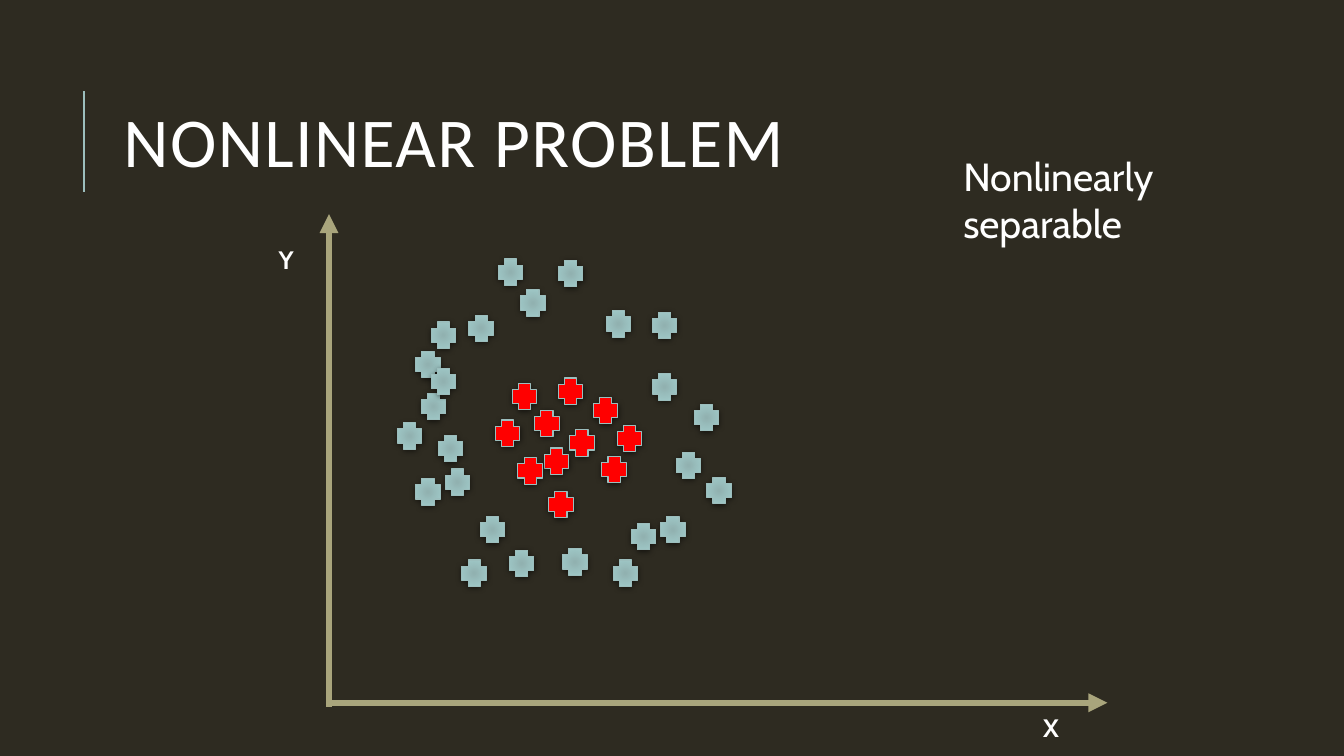
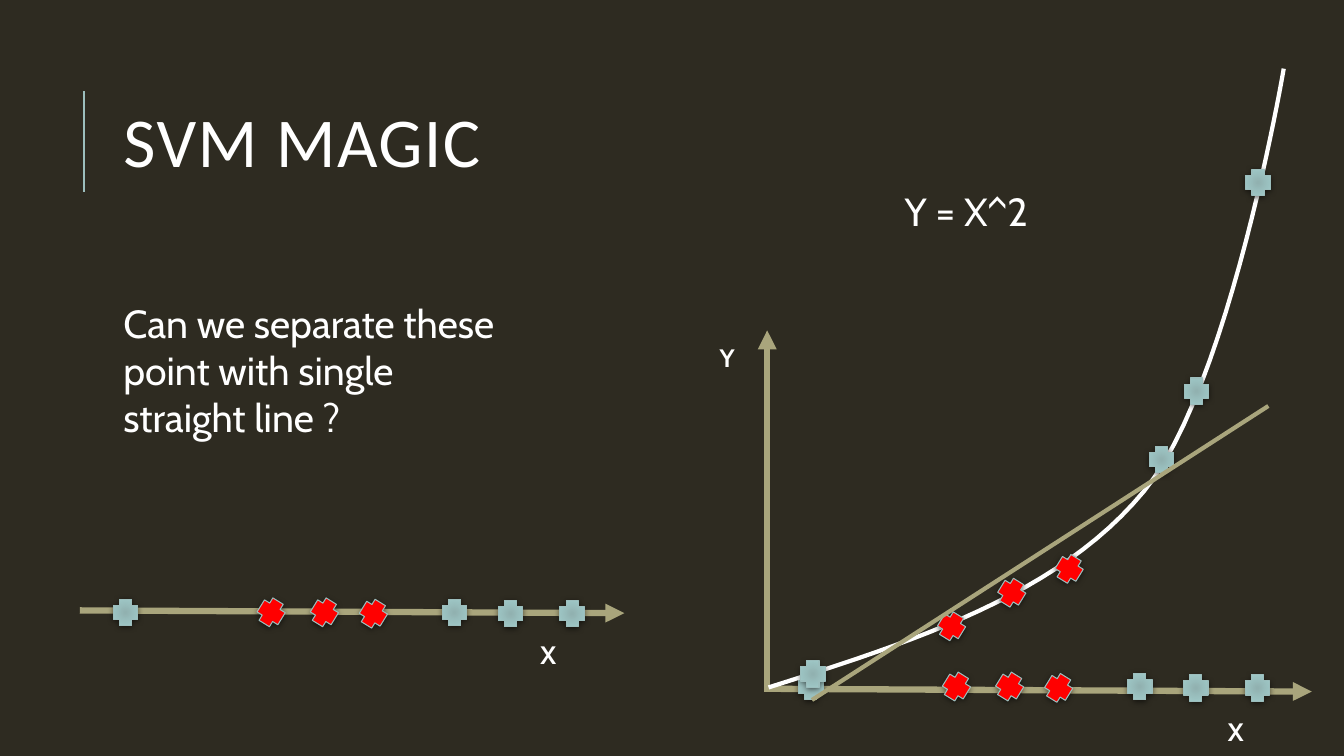
from pptx import Presentation
from pptx.dml.color import RGBColor
from pptx.enum.shapes import MSO_CONNECTOR, MSO_SHAPE
from pptx.enum.text import MSO_ANCHOR, MSO_AUTO_SIZE
from pptx.oxml import parse_xml
from pptx.oxml.ns import nsdecls, qn
from pptx.util import Pt

# Theme
DARK = RGBColor(0x2E, 0x2B, 0x21)
WHITE = RGBColor(0xFF, 0xFF, 0xFF)
TEAL = RGBColor(0x9C, 0xBE, 0xBD)
SAND = RGBColor(0xA9, 0xA5, 0x7C)
RED = RGBColor(0xFF, 0x00, 0x00)
GLOW_IN = RGBColor(0x91, 0xB1, 0xB0)
GLOW_OUT = RGBColor(0xA2, 0xCD, 0xCC)
HEAD_FONT, BODY_FONT = "Calibri", "Cabin"

MARK_W, MARK_H = 17.4, 18.8
TILT = 31.7

TITLE_STYLE = f"""<a:lvl1pPr {nsdecls('a')} algn="l">
  <a:lnSpc><a:spcPct val="80000"/></a:lnSpc>
  <a:defRPr sz="5000" spc="100">
    <a:solidFill><a:srgbClr val="{WHITE}"/></a:solidFill>
    <a:latin typeface="{HEAD_FONT}"/>
  </a:defRPr>
</a:lvl1pPr>"""
GLOW = f"""<a:gradFill {nsdecls('a')} rotWithShape="1">
  <a:gsLst>
    <a:gs pos="0"><a:srgbClr val="{GLOW_IN}"/></a:gs>
    <a:gs pos="100000"><a:srgbClr val="{GLOW_OUT}"/></a:gs>
  </a:gsLst>
  <a:path path="circle">
    <a:fillToRect l="100000" t="100000" r="100000" b="100000"/>
  </a:path>
</a:gradFill>"""
SHADOW = f"""<a:outerShdw {nsdecls('a')} blurRad="{Pt(4)}" dist="{Pt(1)}"
  dir="5400000" rotWithShape="0">
  <a:srgbClr val="000000"><a:alpha val="50000"/></a:srgbClr>
</a:outerShdw>"""
ARROW = f'<a:tailEnd {nsdecls("a")} type="triangle"/>'

# Slide 1: marker corners, outer ring and inner cluster
RING = [
    (297, 251), (301, 281), (318, 335), (313, 311), (297, 342),
    (343, 369), (364, 393), (472, 369), (330, 400), (402, 392),
    (438, 400), (308, 230), (335, 225), (356, 185), (372, 207),
    (399, 186), (433, 222), (466, 267), (483, 323), (496, 289),
    (451, 374), (505, 341), (284, 302), (308, 263), (466, 223),
]
CORE = [
    (366, 274), (399, 270), (424, 284), (389, 320), (370, 327), (382, 293),
    (407, 307), (441, 304), (354, 300), (430, 326), (392, 351),
]

# Slide 2: markers on the number line and on the parabola
ROW_RED = [(185, 428), (223, 428), (258, 429)]
ROW_TEAL = [(81, 428), (316, 428), (356, 429), (400, 429)]
ROW_SHIFT = (489.5, 53)
CURVE_RED = [(671, 438), (714, 414), (755, 397)]
CURVE_TEAL = [(846, 270), (821, 319), (572, 472), (890, 121)]
CURVE = [
    [(549, 491), (653, 458), (756, 425), (817, 351)],
    [(817, 351), (878, 278), (917, 49), (917, 49)],
]


def add_line(slide, start, end, color=SAND, width=4.5, arrow=False):
    line = slide.shapes.add_connector(
        MSO_CONNECTOR.STRAIGHT, *map(Pt, start + end))
    line.line.color.rgb = color
    line.line.width = Pt(width)
    props = line.element.spPr
    if arrow:
        props.find(qn("a:ln")).append(parse_xml(ARROW))
    props.append(parse_xml(f"<a:effectLst {nsdecls('a')}/>"))
    return line


def add_axis(slide, start, end):
    add_line(slide, start, end, arrow=True)


def add_text(slide, text, box, size=28, bold=False):
    frame = slide.shapes.add_textbox(*map(Pt, box)).text_frame
    frame.word_wrap = True
    frame.auto_size = MSO_AUTO_SIZE.SHAPE_TO_FIT_TEXT
    para = frame.paragraphs[0]
    para.text = text
    font = para.font
    font.name, font.size, font.bold = BODY_FONT, Pt(size), bold
    font.color.rgb = WHITE


def add_label(slide, text, left, top):
    add_text(slide, text, (left, top, 55, 29), size=18, bold=True)


def add_marks(slide, spots, red=False, tilt=0, shift=(0, 0)):
    for left, top in spots:
        mark = slide.shapes.add_shape(
            MSO_SHAPE.CROSS, Pt(left + shift[0]), Pt(top + shift[1]),
            Pt(MARK_W), Pt(MARK_H))
        mark.rotation = tilt
        mark.line.color.rgb = TEAL
        mark.line.width = Pt(0.75)
        mark.shadow.inherit = False
        props = mark.element.spPr
        props.find(qn("a:effectLst")).append(parse_xml(SHADOW))
        if red:
            mark.fill.solid()
            mark.fill.fore_color.rgb = RED
        else:
            props.find(qn("a:prstGeom")).addnext(parse_xml(GLOW))


def add_row(slide, shift=(0, 0)):
    add_marks(slide, ROW_RED, red=True, tilt=TILT, shift=shift)
    add_marks(slide, ROW_TEAL, shift=shift)


def bezier(ends, t):
    rates = ((1 - t) ** 3, 3 * t * (1 - t) ** 2, 3 * t * t * (1 - t), t ** 3)
    return tuple(
        Pt(sum(rate * end[axis] for rate, end in zip(rates, ends)))
        for axis in (0, 1))


def add_curve(slide, parts, steps=24):
    points = [bezier(part, step / steps)
              for part in parts for step in range(1, steps + 1)]
    path = slide.shapes.build_freeform(*map(Pt, parts[0][0]))
    path.add_line_segments(points, close=False)
    curve = path.convert_to_shape()
    curve.fill.background()
    curve.line.color.rgb = WHITE
    curve.line.width = Pt(3)
    curve.shadow.inherit = False


def style_layout(layout):
    layout.background.fill.solid()
    layout.background.fill.fore_color.rgb = DARK
    title = layout.placeholders[0]
    title.left, title.top = Pt(81), Pt(46)
    title.width, title.height = Pt(765), Pt(118)
    frame = title.text_frame
    frame.vertical_anchor = MSO_ANCHOR.MIDDLE
    frame.auto_size = MSO_AUTO_SIZE.NONE
    style = title.element.txBody.find(qn("a:lstStyle"))
    style.clear()
    style.append(parse_xml(TITLE_STYLE))


def add_slide(deck, layout, title):
    slide = deck.slides.add_slide(layout)
    slide.shapes.title.text = title
    return slide


def draw_problem(slide):
    add_axis(slide, (235, 505), (235, 153))
    add_axis(slide, (235, 502), (791, 502))
    add_marks(slide, RING)
    add_marks(slide, CORE, red=True)
    add_label(slide, "X", 738, 505)
    add_label(slide, "Y", 192, 171)
    add_text(slide, "Nonlinearly separable", (681, 105, 213, 75))


def draw_magic(slide):
    # Number line
    add_axis(slide, (57, 436), (446, 438))
    add_row(slide)
    add_label(slide, "X", 379, 453)
    add_text(slide, "Can we separate these point with single straight line ?",
             (81, 210, 293, 109))
    # Parabola with the separating line
    add_axis(slide, (548, 494), (548, 236))
    add_axis(slide, (548, 492), (937, 494))
    add_label(slide, "Y", 507, 241)
    add_label(slide, "X", 870, 508)
    add_text(slide, "Y = X^2", (639, 130, 231, 41))
    add_row(slide, ROW_SHIFT)
    add_curve(slide, CURVE)
    add_marks(slide, CURVE_RED, red=True, tilt=TILT)
    add_marks(slide, CURVE_TEAL)
    add_line(slide, (580, 500), (906, 290), width=3)


def main():
    deck = Presentation()
    deck.slide_width, deck.slide_height = Pt(960), Pt(540)
    layout = deck.slide_layouts[5]
    style_layout(layout)

    first = add_slide(deck, layout, "NONLINEAR PROBLEM")
    # The title rule belongs to the layout
    rule = add_line(first, (60, 137), (60, 65), TEAL, 1.5)
    layout.shapes.element.append(rule.element)
    draw_problem(first)

    draw_magic(add_slide(deck, layout, "SVM MAGIC"))
    deck.save("out.pptx")


if __name__ == "__main__":
    main()
